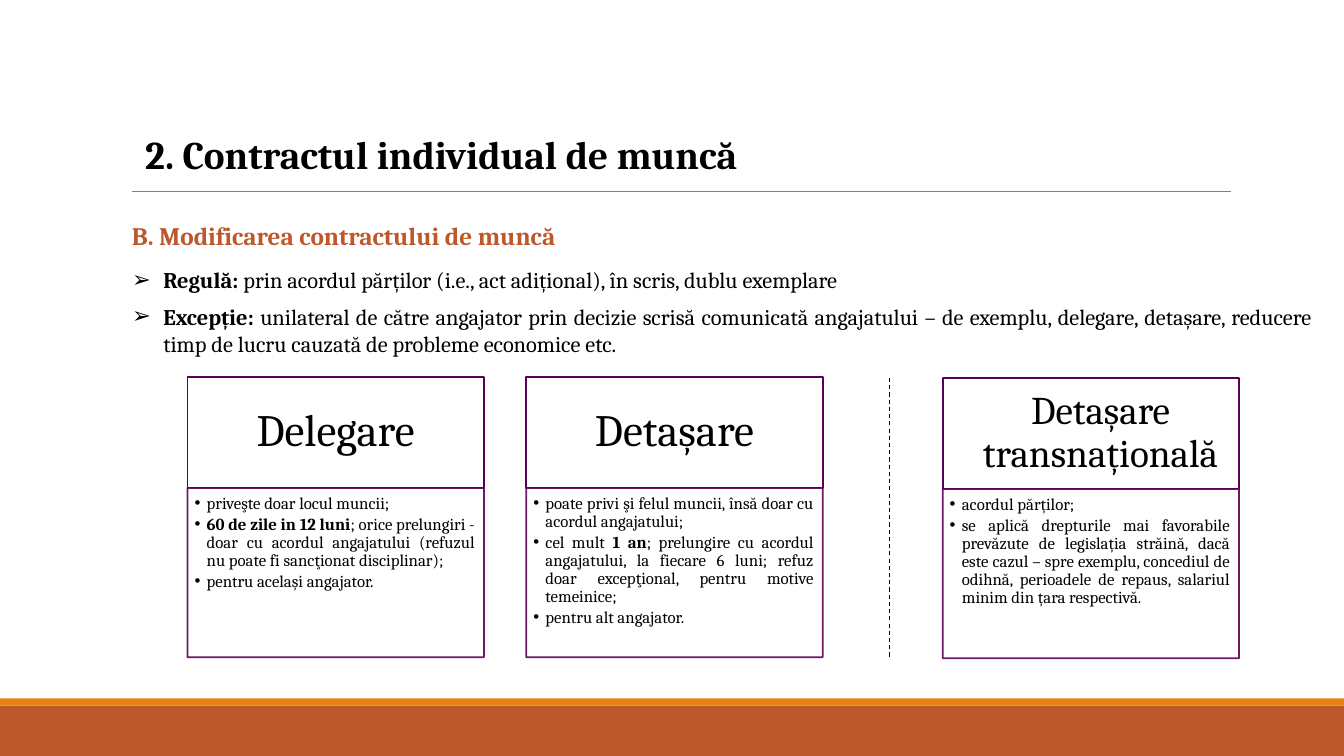
from lxml import etree
from pptx import Presentation
from pptx import util as u
from pptx.dml.color import RGBColor
from pptx.enum import dml, shapes, text
from pptx.oxml import ns

FONT = "Cambria"
BLACK, WHITE, RUST, ORANGE, PURPLE, GREY = (
    "000000", "FFFFFF", "BD582C", "E48312", "590056", "808080")
CARD_WIDTH, HEAD_HEIGHT, DETAIL_HEIGHT = 2.94, 1.1, 1.68

RULES = [
    [("Regulă: ", True),
     ("prin acordul părților (i.e., act adițional), în scris, dublu exemplare", False)],
    [("Excepție: ", True),
     ("unilateral de către angajator prin decizie scrisă comunicată angajatului – de exemplu, "
      "delegare, detașare, reducere timp de lucru cauzată de probleme economice etc.", False)],
]

# Heading, left, top, heading size, heading right inset, details
CARDS = [
    ("Delegare", 1.86, 3.74, 32, 0.25, [
        [("priveşte doar locul muncii;", False)],
        [("60 de zile in 12 luni", True),
         ("; orice prelungiri - doar cu acordul angajatului "
          "(refuzul nu poate fi sancţionat disciplinar);", False)],
        [("pentru același angajator.", False)],
    ]),
    ("Detașare", 5.22, 3.74, 32, 0.25, [
        [("poate privi şi felul muncii, însă doar cu acordul angajatului;", False)],
        [("cel mult ", False), ("1 an", True),
         ("; prelungire cu acordul angajatului, la fiecare 6 luni; "
          "refuz doar excepţional, pentru motive temeinice;", False)],
        [("pentru alt angajator.", False)],
    ]),
    ("Detașare transnațională", 9.35, 3.75, 28, 0.06, [
        [("acordul părților;", False)],
        [("se aplică drepturile mai favorabile prevăzute de legislația străină, dacă este cazul – "
          "spre exemplu, concediul de odihnă, perioadele de repaus, salariul minim din țara "
          "respectivă.", False)],
    ]),
]


def rgb(value):
    return RGBColor.from_string(value)


def add_bullet(paragraph, char, indent):
    properties = paragraph._p.get_or_add_pPr()
    properties.set("marL", str(u.Inches(indent)))
    properties.set("indent", str(-u.Inches(indent)))
    etree.SubElement(properties, ns.qn("a:buFont")).set("typeface", "Arial")
    etree.SubElement(properties, ns.qn("a:buChar")).set("char", char)


def write(shape, paragraphs, size, color=BLACK, align=text.PP_ALIGN.LEFT,
          anchor=text.MSO_ANCHOR.TOP, insets=(0.1, 0.05, 0.1, 0.05),
          bullet=None, indent=0, line_spacing=1.0, after=0):
    """Fill a shape with paragraphs, each a list of (words, bold) runs."""
    frame = shape.text_frame
    frame.word_wrap = True
    frame.auto_size = text.MSO_AUTO_SIZE.NONE
    frame.vertical_anchor = anchor
    (frame.margin_left, frame.margin_top,
     frame.margin_right, frame.margin_bottom) = map(u.Inches, insets)
    for index, runs in enumerate(paragraphs):
        paragraph = frame.add_paragraph() if index else frame.paragraphs[0]
        if bullet:
            add_bullet(paragraph, bullet, indent)
        paragraph.alignment = align
        paragraph.line_spacing = line_spacing
        paragraph.space_before = u.Pt(0)
        paragraph.space_after = u.Pt(after)
        for words, bold in runs:
            run = paragraph.add_run()
            run.text = words
            run.font.name, run.font.size, run.font.bold = FONT, u.Pt(size), bold
            run.font.color.rgb = rgb(color)


def place(shape, *box):
    shape.left, shape.top, shape.width, shape.height = map(u.Inches, box)
    return shape


def add_box(slide, box, fill, line=None, opacity=None):
    shape = slide.shapes.add_shape(shapes.MSO_SHAPE.RECTANGLE, *map(u.Inches, box))
    shape.shadow.inherit = False
    shape.fill.solid()
    shape.fill.fore_color.rgb = rgb(fill)
    if line:
        shape.line.color.rgb = rgb(line)
        shape.line.width = u.Pt(1.25)
    else:
        shape.line.fill.background()
    if opacity:
        for color in shape._element.spPr.iter(ns.qn("a:srgbClr")):
            etree.SubElement(color, ns.qn("a:alpha")).set("val", str(opacity * 1000))
    return shape


def add_line(slide, ends, color, width, dash=None):
    line = slide.shapes.add_connector(shapes.MSO_CONNECTOR.STRAIGHT, *map(u.Inches, ends))
    line.line.color.rgb = rgb(color)
    line.line.width = u.Pt(width)
    if dash:
        line.line.dash_style = dash
    etree.SubElement(line._element.spPr, ns.qn("a:effectLst"))


def add_card(slide, heading, left, top, size, right_inset, details):
    head = add_box(slide, (left, top, CARD_WIDTH, HEAD_HEIGHT), WHITE, PURPLE)
    write(head, [[(heading, False)]], size, align=text.PP_ALIGN.CENTER,
          anchor=text.MSO_ANCHOR.MIDDLE, insets=(0.25, 0.14, right_inset, 0.14),
          line_spacing=0.9)
    detail = add_box(slide, (left, top + HEAD_HEIGHT, CARD_WIDTH, DETAIL_HEIGHT),
                     WHITE, PURPLE, opacity=90)
    write(detail, details, 12, align=text.PP_ALIGN.JUSTIFY,
          insets=(0.07, 0.07, 0.09, 0.1), bullet="•", indent=0.12,
          line_spacing=0.9, after=1.8)


def main():
    deck = Presentation()
    deck.slide_width, deck.slide_height = u.Inches(13.33), u.Inches(7.5)
    slide = deck.slides.add_slide(deck.slide_layouts[1])

    # Footer bands and title rule
    add_box(slide, (0, 7, 13.33, 0.5), RUST)
    add_box(slide, (0, 6.93, 13.33, 0.07), ORANGE)
    add_line(slide, (1.31, 1.9, 12.21, 1.9), GREY, 0.5)

    # Title, subtitle and rules
    title = place(slide.shapes.title, 1.34, 1.24, 10.44, 0.57)
    write(title, [[("2. Contractul individual de muncă", True)]], 28)
    subtitle = place(slide.shapes.add_textbox(0, 0, 0, 0), 1.21, 2.14, 5.6, 0.4)
    write(subtitle, [[("B. Modificarea contractului de muncă", True)]], 18, color=RUST)
    rules = place(slide.placeholders[1], 1.21, 2.59, 11.91, 1.76)
    write(rules, RULES, 16, align=text.PP_ALIGN.JUSTIFY, bullet="➢", indent=0.31,
          line_spacing=u.Pt(19.2), after=7)

    # Cards, with a divider before the transnational one
    for card in CARDS:
        add_card(slide, *card)
    add_line(slide, (8.82, 3.75, 8.82, 6.53), BLACK, 0.75, dml.MSO_LINE.DASH)

    deck.save("out.pptx")


if __name__ == "__main__":
    main()
